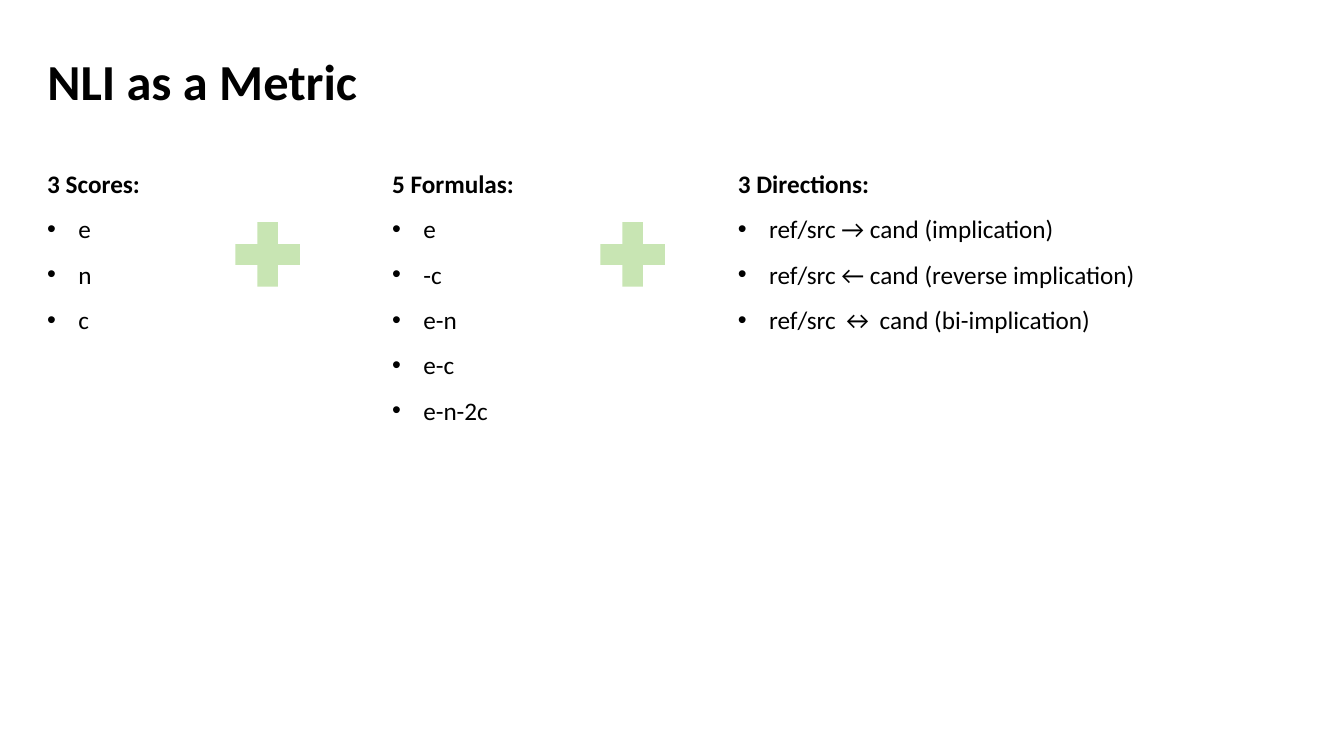
import pptx
import pptx.util
import pptx.dml.color
import pptx.enum.shapes
import pptx.enum.text
import pptx.oxml.ns
import lxml.etree

BLACK = pptx.dml.color.RGBColor(0x00, 0x00, 0x00)
GREEN = pptx.dml.color.RGBColor(0xC8, 0xE5, 0xB3)
FONT = "Calibri"
SCALE = 9144  # EMU per px, 100 px to the inch
INDENT = 31
TOP = 147
LISTS = [
    ((37, TOP, 205, 192), "3 Scores:", ["e", "n", "c"]),
    ((379, TOP, 205, 328), "5 Formulas:", ["e", "-c", "e-n", "e-c", "e-n-2c"]),
    ((722, TOP, 452, 192), "3 Directions:", [
        "ref/src → cand (implication)",
        "ref/src ← cand (reverse implication)",
        "ref/src ↔ cand (bi-implication)",
    ]),
]
PLUSES = [(222, 209, 87, 87), (584, 209, 87, 87)]


def px(*sizes):
    return [pptx.util.Emu(size * SCALE) for size in sizes]


def style(para, size, bold):
    font = para.font
    font.name = FONT
    font.size = pptx.util.Pt(size)
    font.bold = bold
    font.color.rgb = BLACK


def bullet(para):
    props = para._p.get_or_add_pPr()
    step = INDENT * SCALE
    props.set("marL", str(step))
    props.set("indent", str(-step))
    face = lxml.etree.SubElement(props, pptx.oxml.ns.qn("a:buFont"))
    face.set("typeface", "Arial")
    mark = lxml.etree.SubElement(props, pptx.oxml.ns.qn("a:buChar"))
    mark.set("char", "•")


def add_title(slide, box, text):
    title = slide.shapes.title
    title.left, title.top, title.width, title.height = px(*box)
    frame = title.text_frame
    frame.text = text
    frame.word_wrap = True
    frame.auto_size = pptx.enum.text.MSO_AUTO_SIZE.NONE
    frame.vertical_anchor = pptx.enum.text.MSO_ANCHOR.TOP
    para = frame.paragraphs[0]
    para.alignment = pptx.enum.text.PP_ALIGN.LEFT
    style(para, 36, True)


def add_list(slide, box, head, items):
    frame = slide.shapes.add_textbox(*px(*box)).text_frame
    frame.word_wrap = True
    frame.text = "\n".join([head, *items])
    for row, para in enumerate(frame.paragraphs):
        if row:
            bullet(para)
        para.line_spacing = 1.5
        style(para, 18, row == 0)


def add_plus(slide, box):
    kind = pptx.enum.shapes.MSO_SHAPE.MATH_PLUS
    plus = slide.shapes.add_shape(kind, *px(*box))
    plus.shadow.inherit = False
    plus.fill.solid()
    plus.fill.fore_color.rgb = GREEN
    plus.line.fill.background()


def main():
    deck = pptx.Presentation()
    deck.slide_width, deck.slide_height = px(1333, 750)
    slide = deck.slides.add_slide(deck.slide_layouts[5])
    add_title(slide, (37, 45, 723, 71), "NLI as a Metric")
    for box, head, items in LISTS:
        add_list(slide, box, head, items)
    for box in PLUSES:
        add_plus(slide, box)
    deck.save("out.pptx")


if __name__ == "__main__":
    main()
